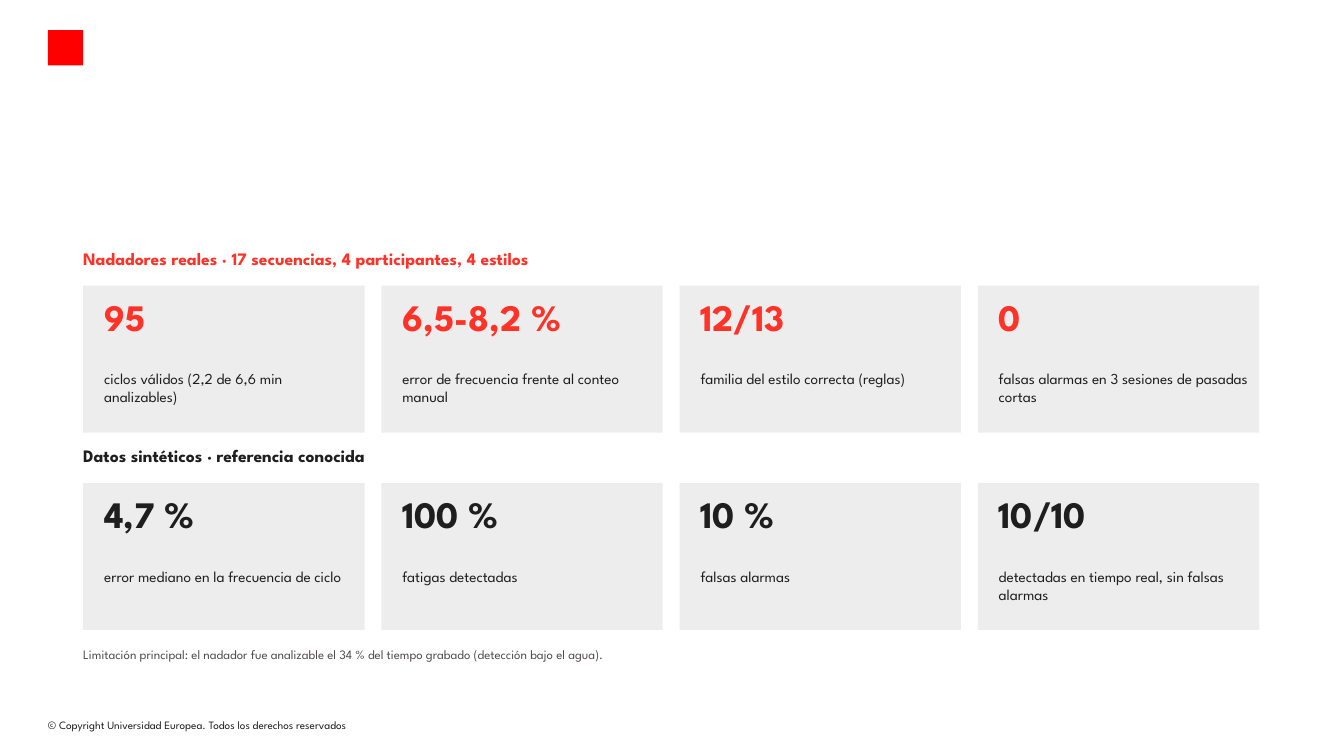
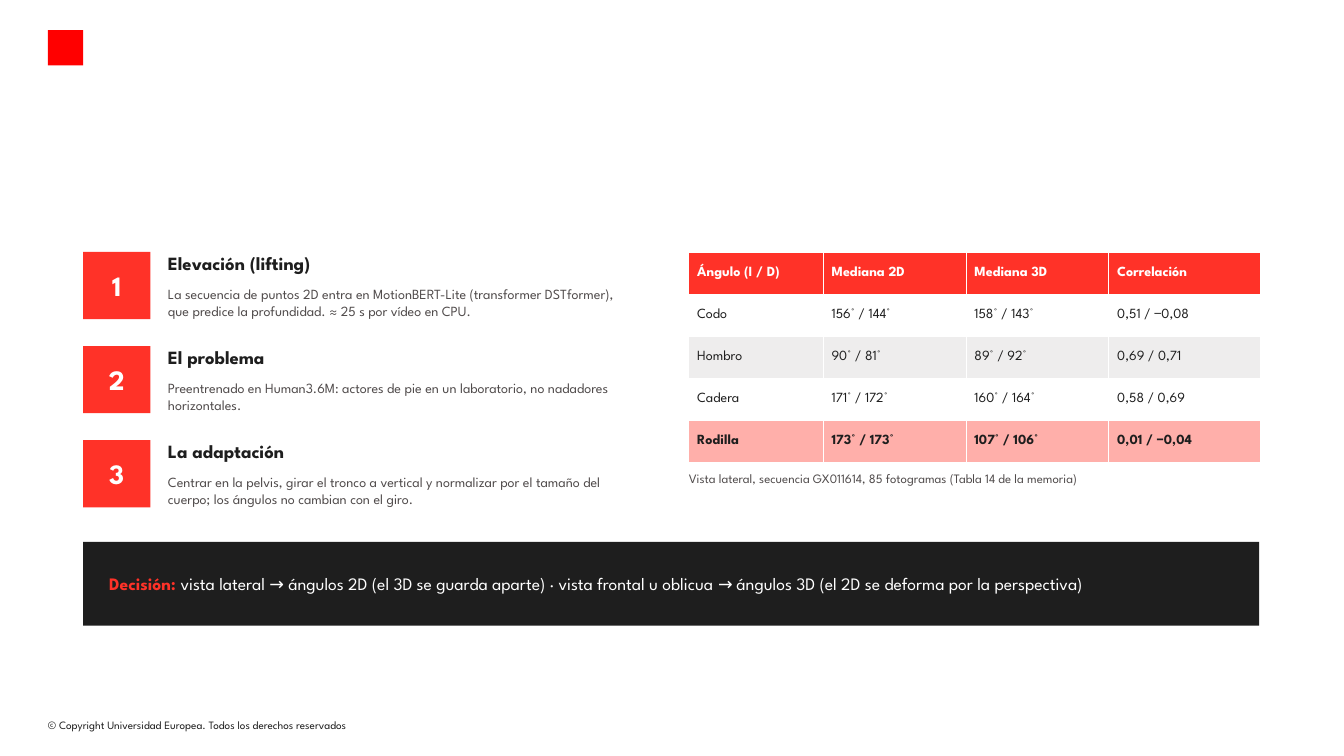
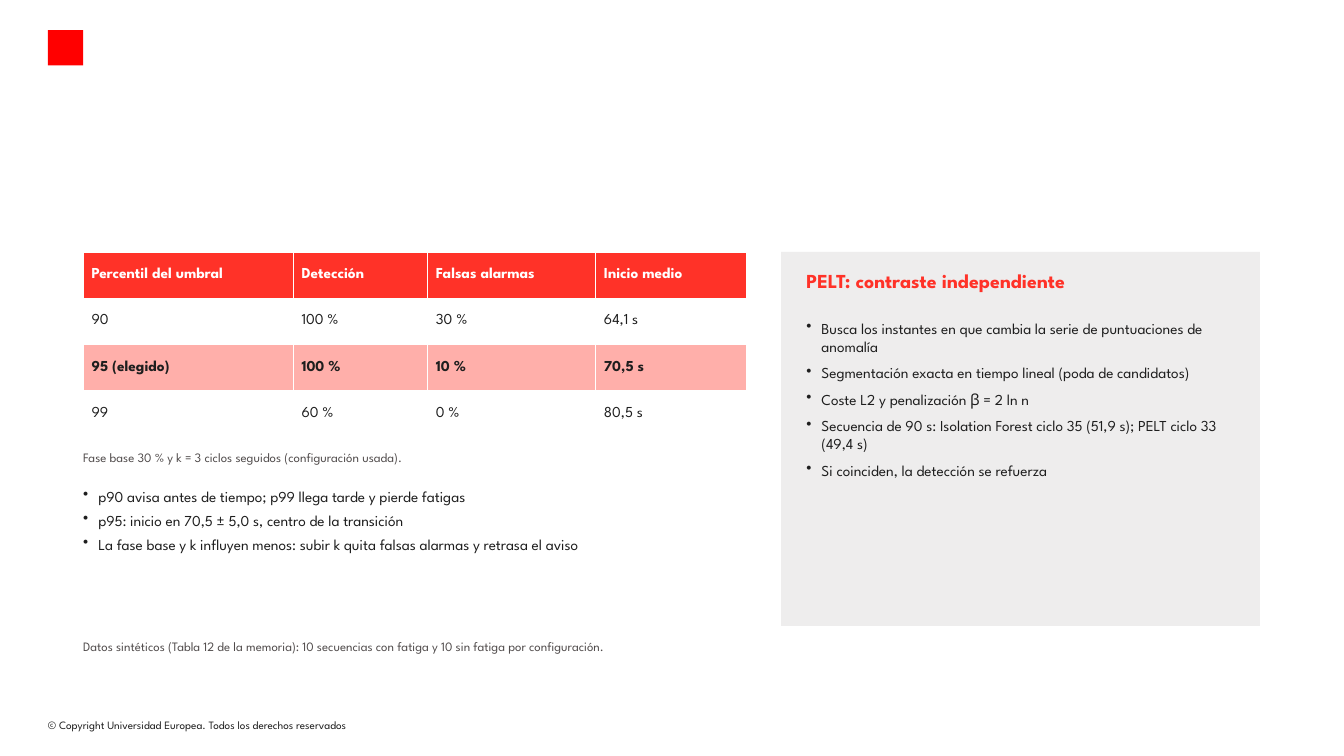
from lxml import etree
from pptx import Presentation
from pptx.dml.color import RGBColor
from pptx.enum import shapes, text
from pptx.oxml import ns
from pptx.util import Inches, Pt

FONT = "League Spartan"
COLORS = {
    "logo": "FF0000",
    "accent": "FF3228",
    "dark": "1E1E1E",
    "muted": "504B4B",
    "panel": "EEEDED",
    "highlight": "FFAFAA",
    "white": "FFFFFF",
}
LEFT = 0.99
CONTENT_WIDTH = 14
BULLET_INDENT = 0.18


def color(name):
    return RGBColor.from_string(COLORS[name])


def set_font(font, size, fill, bold=False):
    font.name = FONT
    font.size = Pt(size)
    font.bold = bold
    font.color.rgb = color(fill)


def set_frame(frame, anchor=text.MSO_ANCHOR.TOP, left=0):
    frame.word_wrap = True
    frame.vertical_anchor = anchor
    frame.margin_left = Inches(left)
    frame.margin_top = frame.margin_right = frame.margin_bottom = 0


def add_bullet(para):
    properties = para._p.get_or_add_pPr()
    properties.set("marL", str(Inches(BULLET_INDENT)))
    properties.set("indent", str(-Inches(BULLET_INDENT)))
    bullet = etree.SubElement(properties, ns.qn("a:buChar"))
    bullet.set("char", "•")


def add_text(page, area, lines, size, fill="dark", bold=False, bullets=False, after=6):
    box = page.shapes.add_textbox(*map(Inches, area))
    frame = box.text_frame
    set_frame(frame)
    for index, line in enumerate(lines if bullets else [lines]):
        para = frame.add_paragraph() if index else frame.paragraphs[0]
        para.text = line
        if bullets:
            add_bullet(para)
        para.space_after = Pt(after)
        set_font(para.font, size, fill, bold)
    return box


def add_panel(page, area, fill):
    panel = page.shapes.add_shape(shapes.MSO_SHAPE.RECTANGLE, *map(Inches, area))
    panel.shadow.inherit = False
    panel.fill.solid()
    panel.fill.fore_color.rgb = color(fill)
    panel.line.fill.background()
    return panel


def add_page(deck):
    page = deck.slides.add_slide(deck.slide_layouts[6])
    footer = add_text(page, (0.57, 8.55, 4.22, 0.16),
                      "© Copyright Universidad Europea. Todos los derechos reservados", 9.6)
    footer.text_frame.word_wrap = False
    add_panel(page, (0.57, 0.36, 0.42, 0.42), "logo")
    return page


def add_note(page, left, top, width, note):
    add_text(page, (left, top, width, 0.4), note, 11, "muted")


def add_table(page, left, top, widths, row_height, rows, chosen, size):
    area = (left, top, sum(widths), row_height * len(rows))
    table = page.shapes.add_table(len(rows), len(widths), *map(Inches, area)).table
    for column, width in zip(table.columns, widths):
        column.width = Inches(width)
    for r, values in enumerate(rows):
        if r == 0:
            fill = "accent"
        elif r == chosen:
            fill = "highlight"
        else:
            fill = "white" if r % 2 else "panel"
        for c, value in enumerate(values):
            cell = table.cell(r, c)
            cell.fill.solid()
            cell.fill.fore_color.rgb = color(fill)
            cell.vertical_anchor = text.MSO_ANCHOR.MIDDLE
            cell.margin_left = cell.margin_right = Inches(0.1)
            cell.margin_top = cell.margin_bottom = Inches(0.03)
            para = cell.text_frame.paragraphs[0]
            para.text = value
            set_font(para.font, size, "dark" if r else "white", r in (0, chosen))


def add_metrics(page, top, heading, fill, metrics):
    add_text(page, (LEFT, top, CONTENT_WIDTH, 0.4), heading, 15, fill, True)
    gap = 0.2
    width = (CONTENT_WIDTH - gap * (len(metrics) - 1)) / len(metrics)
    for index, (figure, caption) in enumerate(metrics):
        left = LEFT + index * (width + gap)
        add_panel(page, (left, top + 0.45, width, 1.75), "panel")
        add_text(page, (left + 0.25, top + 0.55, 3, 0.85), figure, 32, fill, True)
        add_text(page, (left + 0.25, top + 1.45, 3, 0.9), caption, 13)


def add_step(page, top, number, title, detail):
    tile = add_panel(page, (LEFT, top, 0.8, 0.8), "accent")
    set_frame(tile.text_frame, text.MSO_ANCHOR.MIDDLE)
    para = tile.text_frame.paragraphs[0]
    para.text = str(number)
    para.alignment = text.PP_ALIGN.CENTER
    set_font(para.font, 24, "white", True)
    add_text(page, (2, top, 5.6, 0.4), title, 16, bold=True)
    add_text(page, (2, top + 0.4, 5.6, 0.7), detail, 12, "muted")


def add_decision(page, label, decision):
    bar = add_panel(page, (LEFT, 6.45, CONTENT_WIDTH, 1), "dark")
    set_frame(bar.text_frame, text.MSO_ANCHOR.MIDDLE, 0.31)
    para = bar.text_frame.paragraphs[0]
    para.alignment = text.PP_ALIGN.LEFT
    for words, fill, bold in ((label, "accent", True), (decision, "white", False)):
        span = para.add_run()
        span.text = words
        set_font(span.font, 15, fill, bold)


def results_page(deck):
    page = add_page(deck)
    add_metrics(page, 2.95, "Nadadores reales · 17 secuencias, 4 participantes, 4 estilos", "accent", [
        ("95", "ciclos válidos (2,2 de 6,6 min analizables)"),
        ("6,5-8,2 %", "error de frecuencia frente al conteo manual"),
        ("12/13", "familia del estilo correcta (reglas)"),
        ("0", "falsas alarmas en 3 sesiones de pasadas cortas"),
    ])
    add_metrics(page, 5.3, "Datos sintéticos · referencia conocida", "dark", [
        ("4,7 %", "error mediano en la frecuencia de ciclo"),
        ("100 %", "fatigas detectadas"),
        ("10 %", "falsas alarmas"),
        ("10/10", "detectadas en tiempo real, sin falsas alarmas"),
    ])
    add_note(page, LEFT, 7.7, 13.5,
             "Limitación principal: el nadador fue analizable el 34 % del tiempo grabado "
             "(detección bajo el agua).")


def lifting_page(deck):
    page = add_page(deck)
    steps = [
        ("Elevación (lifting)",
         "La secuencia de puntos 2D entra en MotionBERT-Lite (transformer DSTformer), "
         "que predice la profundidad. ≈ 25 s por vídeo en CPU."),
        ("El problema",
         "Preentrenado en Human3.6M: actores de pie en un laboratorio, "
         "no nadadores horizontales."),
        ("La adaptación",
         "Centrar en la pelvis, girar el tronco a vertical y normalizar por el tamaño "
         "del cuerpo; los ángulos no cambian con el giro."),
    ]
    for index, (title, detail) in enumerate(steps):
        add_step(page, 3 + 1.12 * index, index + 1, title, detail)
    add_table(page, 8.2, 3, [1.6, 1.7, 1.7, 1.8], 0.5, [
        ("Ángulo (I / D)", "Mediana 2D", "Mediana 3D", "Correlación"),
        ("Codo", "156° / 144°", "158° / 143°", "0,51 / −0,08"),
        ("Hombro", "90° / 81°", "89° / 92°", "0,69 / 0,71"),
        ("Cadera", "171° / 172°", "160° / 164°", "0,58 / 0,69"),
        ("Rodilla", "173° / 173°", "107° / 106°", "0,01 / −0,04"),
    ], chosen=4, size=12)
    add_note(page, 8.2, 5.6, 6.8,
             "Vista lateral, secuencia GX011614, 85 fotogramas (Tabla 14 de la memoria)")
    add_decision(page, "Decisión: ",
                 "vista lateral → ángulos 2D (el 3D se guarda aparte) · vista frontal u oblicua "
                 "→ ángulos 3D (el 2D se deforma por la perspectiva)")


def threshold_page(deck):
    page = add_page(deck)
    add_table(page, LEFT, 3, [2.5, 1.6, 2, 1.8], 0.55, [
        ("Percentil del umbral", "Detección", "Falsas alarmas", "Inicio medio"),
        ("90", "100 %", "30 %", "64,1 s"),
        ("95 (elegido)", "100 %", "10 %", "70,5 s"),
        ("99", "60 %", "0 %", "80,5 s"),
    ], chosen=2, size=13)
    add_note(page, LEFT, 5.35, 7.9, "Fase base 30 % y k = 3 ciclos seguidos (configuración usada).")
    add_text(page, (LEFT, 5.8, 7.9, 1.6), [
        "p90 avisa antes de tiempo; p99 llega tarde y pierde fatigas",
        "p95: inicio en 70,5 ± 5,0 s, centro de la transición",
        "La fase base y k influyen menos: subir k quita falsas alarmas y retrasa el aviso",
    ], 13, bullets=True, after=5)
    add_panel(page, (9.3, 3, 5.7, 4.45), "panel")
    add_text(page, (9.6, 3.2, 5.1, 0.5), "PELT: contraste independiente", 17, "accent", True)
    add_text(page, (9.6, 3.8, 5.1, 3.6), [
        "Busca los instantes en que cambia la serie de puntuaciones de anomalía",
        "Segmentación exacta en tiempo lineal (poda de candidatos)",
        "Coste L2 y penalización β = 2 ln n",
        "Secuencia de 90 s: Isolation Forest ciclo 35 (51,9 s); PELT ciclo 33 (49,4 s)",
        "Si coinciden, la detección se refuerza",
    ], 13, bullets=True, after=7)
    add_note(page, LEFT, 7.6, 13.5,
             "Datos sintéticos (Tabla 12 de la memoria): 10 secuencias con fatiga y 10 sin fatiga "
             "por configuración.")


def main():
    deck = Presentation()
    deck.slide_width = Inches(16)
    deck.slide_height = Inches(9)
    results_page(deck)
    lifting_page(deck)
    threshold_page(deck)
    deck.save("out.pptx")


if __name__ == "__main__":
    main()
